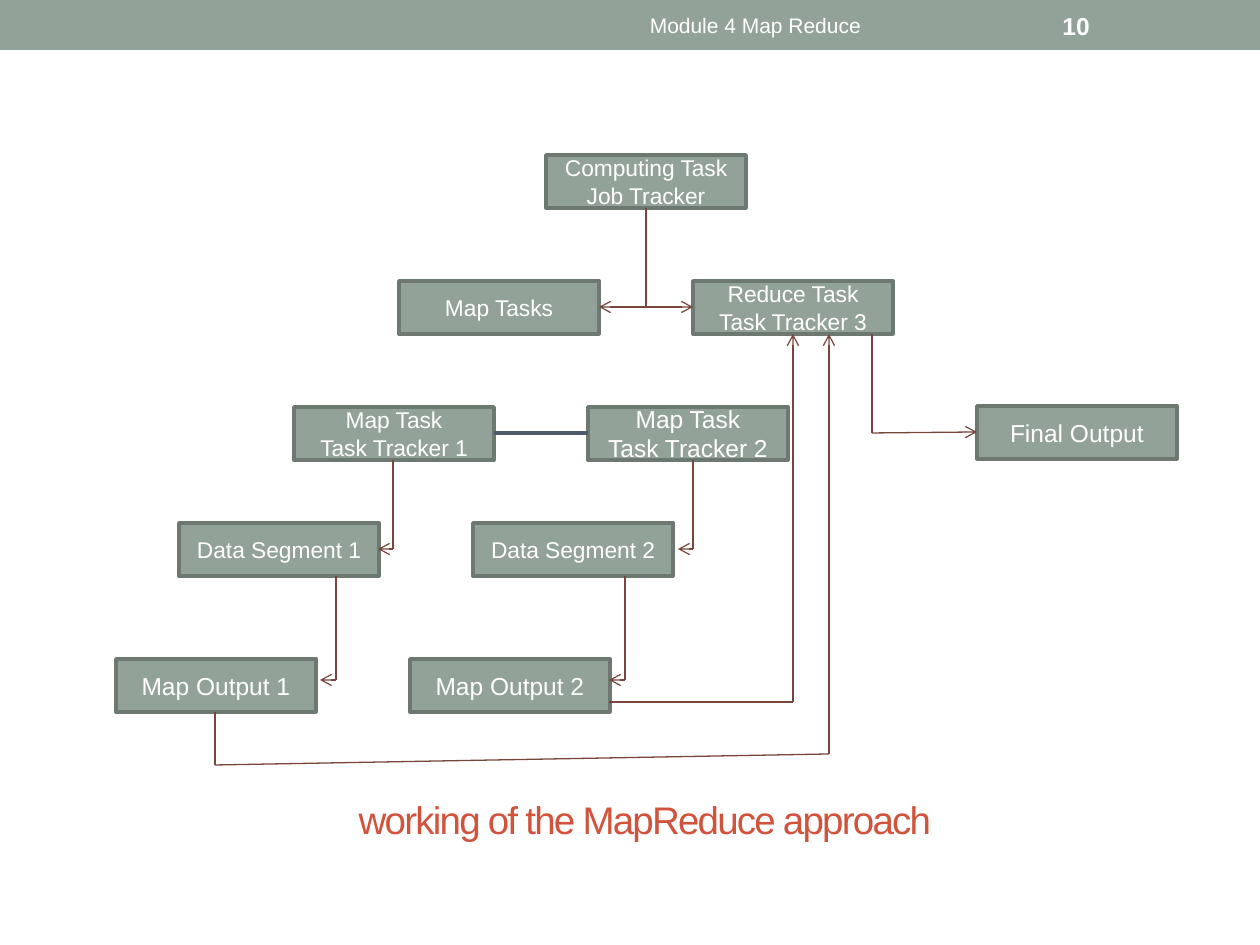
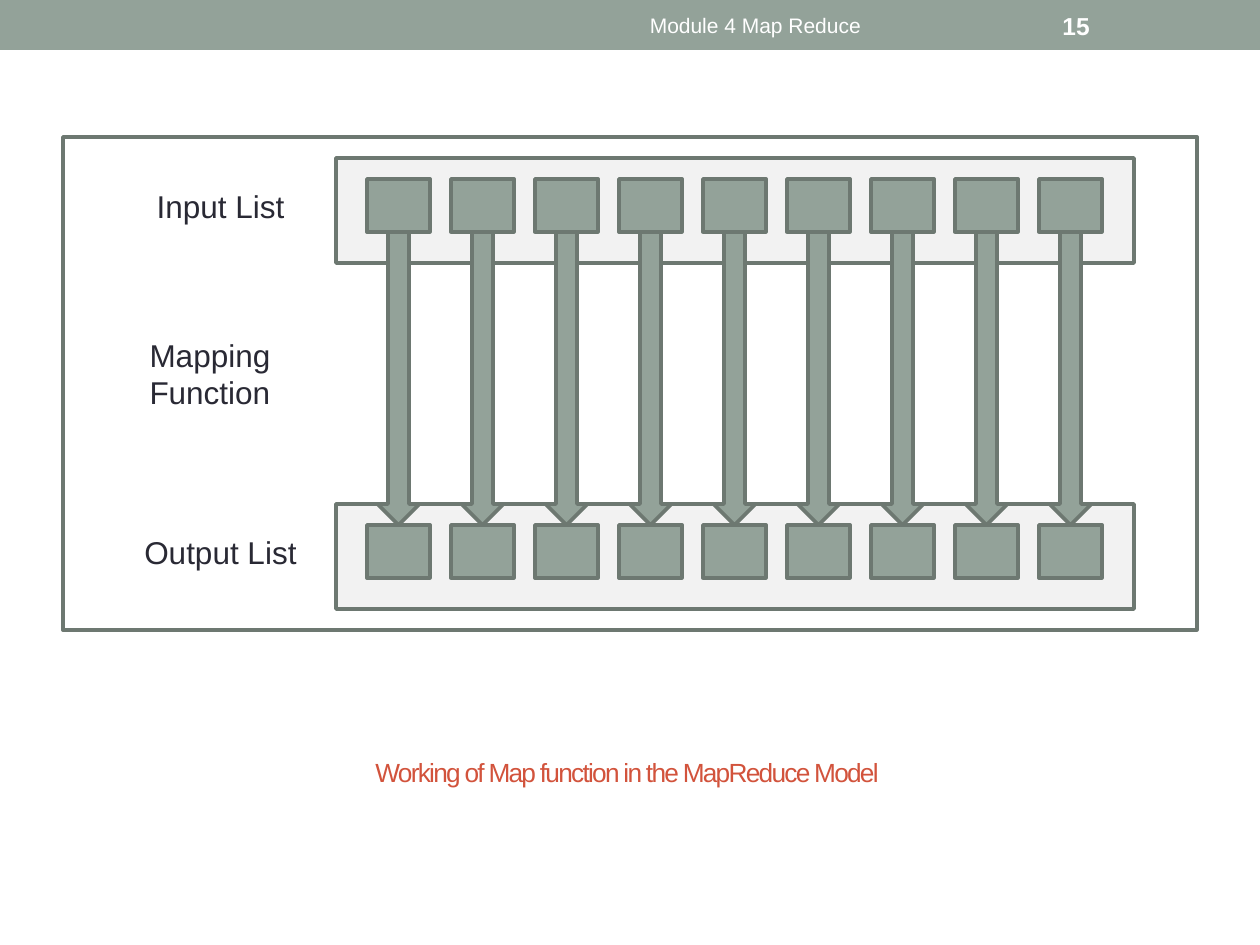
from pptx import Presentation
from pptx.util import Pt
from pptx.dml.color import RGBColor
from pptx.enum.shapes import MSO_SHAPE as Kind, MSO_CONNECTOR as Link
from pptx.enum.text import PP_ALIGN as Align, MSO_ANCHOR as Anchor, MSO_AUTO_SIZE as Auto
from pptx.oxml.ns import qn
from lxml import etree

# Shared look; lengths are pixels, 126 to the inch
SCALE = 914400 / 126
WIDE, HIGH = 1260, 945
FONT = "Arial"
HEX = {"sage": "93A299", "edge": "6D7871", "pale": "F2F2F2", "white": "FFFFFF",
       "ink": "292934", "title": "D2533C", "wire": "79463D", "slate": "4C5A6A"}
HEADER = "Module 4 Map Reduce"

# Slide 1: task boxes as text, left, top, text size
BOX_W, BOX_H = 200, 53
TASKS = [
    ("Map Output 1", 116, 659, 14),
    ("Map Output 2", 410, 659, 14),
    ("Data Segment 1", 179, 523, 13),
    ("Data Segment 2", 473, 523, 13),
    ("Map Task\nTask Tracker 1", 294, 407, 13),
    ("Map Task\nTask Tracker 2", 588, 407, 14),
    ("Map Tasks", 399, 281, 13),
    ("Reduce Task\nTask Tracker 3", 693, 281, 13),
    ("Computing Task\nJob Tracker", 546, 155, 13),
    ("Final Output", 977, 406, 14),
]
# Routes: each runs through its points and ends in an arrowhead
ROUTES = [
    [(646, 208), (646, 307), (599, 307)],
    [(646, 307), (693, 307)],
    [(393, 460), (393, 549), (378, 549)],
    [(693, 460), (693, 549), (678, 549)],
    [(625, 576), (625, 680), (609, 680)],
    [(336, 576), (336, 680), (320, 680)],
    [(609, 702), (793, 702), (793, 334)],
    [(215, 712), (215, 765), (829, 754), (829, 334)],
    [(872, 334), (872, 433), (977, 432)],
]
PEERS = [(494, 433), (588, 433)]

# Slide 2: the two lists and their labels
COUNT, STEP, FIRST = 9, 84, 367
CELL_W, CELL_H = 63, 53
ARROW_W = 42
LIST_TOPS = [158, 504]
LIST_X, LIST_W, LIST_H, PAD = 336, 798, 105, 21
LABELS = [
    ("Input List", 126, 179, 189),
    ("Mapping Function", 84, 347, 252),
    ("Output List", 126, 525, 189),
]


def emu(*vals):
    return [round(v * SCALE) for v in vals]


def rgb(name):
    return RGBColor.from_string(HEX[name])


def write(shape, text, size, color, align=Align.CENTER, bold=False, space=0):
    frame = shape.text_frame
    frame.text = text
    frame.word_wrap = True
    frame.auto_size = Auto.NONE
    frame.vertical_anchor = Anchor.MIDDLE
    for para in frame.paragraphs:
        para.alignment = align
        for run in para.runs:
            font = run.font
            font.name, font.size, font.bold = FONT, Pt(size), bold
            font.color.rgb = rgb(color)
            if space:
                run._r.get_or_add_rPr().set("spc", str(space * 100))


def label(slide, box, text, size, color, **look):
    write(slide.shapes.add_textbox(*emu(*box)), text, size, color, **look)


def block(slide, box, fill="sage", edge="edge", kind=Kind.RECTANGLE):
    shape = slide.shapes.add_shape(kind, *emu(*box))
    shape.shadow.inherit = False
    if fill:
        shape.fill.solid()
        shape.fill.fore_color.rgb = rgb(fill)
    else:
        shape.fill.background()
    if edge:
        shape.line.color.rgb = rgb(edge)
        shape.line.width = Pt(2.08)
    else:
        shape.line.fill.background()
    return shape


def wire(slide, start, end, color="wire", width=0.75, arrow=False):
    line = slide.shapes.add_connector(Link.STRAIGHT, *emu(*start, *end))
    line.line.color.rgb = rgb(color)
    line.line.width = Pt(width)
    if arrow:
        etree.SubElement(line.line._get_or_add_ln(), qn("a:tailEnd"), type="arrow")
    etree.SubElement(line._element.spPr, qn("a:effectLst"))


def start(deck, number, title, box, size):
    """Add a slide with the band, header, page number and title."""
    slide = deck.slides.add_slide(deck.slide_layouts[5])
    block(slide, (0, 0, WIDE, 50), edge=None)
    head = slide.shapes.title
    head.left, head.top, head.width, head.height = emu(*box)
    write(head, title, size, "title", space=-1)
    label(slide, (472, 3, 567, 45), HEADER, 12, "white")
    label(slide, (1050, 3, 147, 45), str(number), 14, "white",
          align=Align.LEFT, bold=True)
    return slide


deck = Presentation()
deck.slide_width, deck.slide_height = emu(WIDE, HIGH)

# Slide 1: job flow
flow = start(deck, 10, "working of the MapReduce approach", (78, 788, 1134, 63), 22)
for text, left, top, size in TASKS:
    write(block(flow, (left, top, BOX_W, BOX_H)), text, size, "white")
for route in ROUTES:
    for a, b in zip(route, route[1:]):
        wire(flow, a, b, arrow=b == route[-1])
wire(flow, *PEERS, color="slate", width=2.08)

# Slide 2: map function
model = start(deck, 15, "Working of Map function in the MapReduce Model ",
              (63, 725, 1134, 94), 15)
block(model, (63, 137, 1134, 493), fill=None)
cols = [FIRST + i * STEP for i in range(COUNT)]
for top in LIST_TOPS:
    block(model, (LIST_X, top, LIST_W, LIST_H), fill="pale")
    for x in cols:
        block(model, (x, top + PAD, CELL_W, CELL_H))
tail = LIST_TOPS[0] + PAD + CELL_H
tip = LIST_TOPS[1] + PAD
for x in cols:
    block(model, (x + (CELL_W - ARROW_W) / 2, tail, ARROW_W, tip - tail),
          kind=Kind.DOWN_ARROW)
for text, left, top, width in LABELS:
    label(model, (left, top, width, CELL_H), text, 18, "ink")

deck.save("out.pptx")
